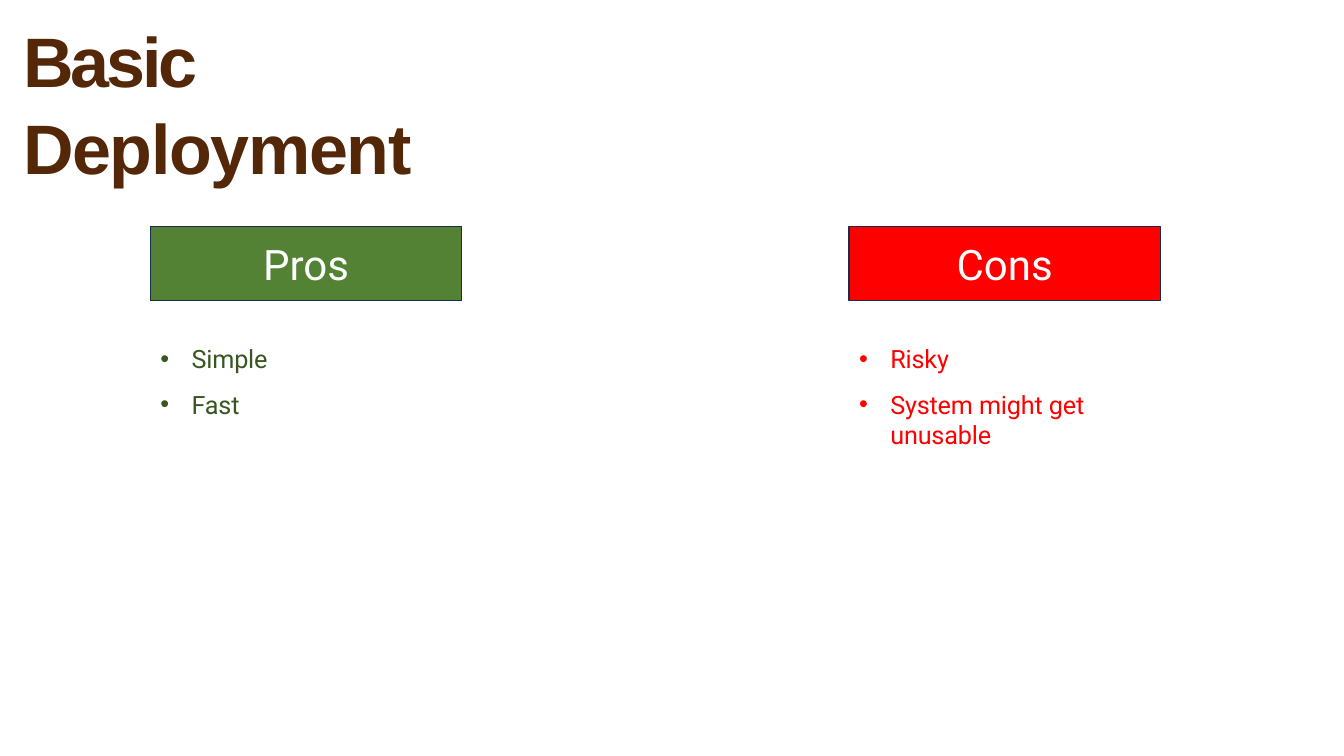
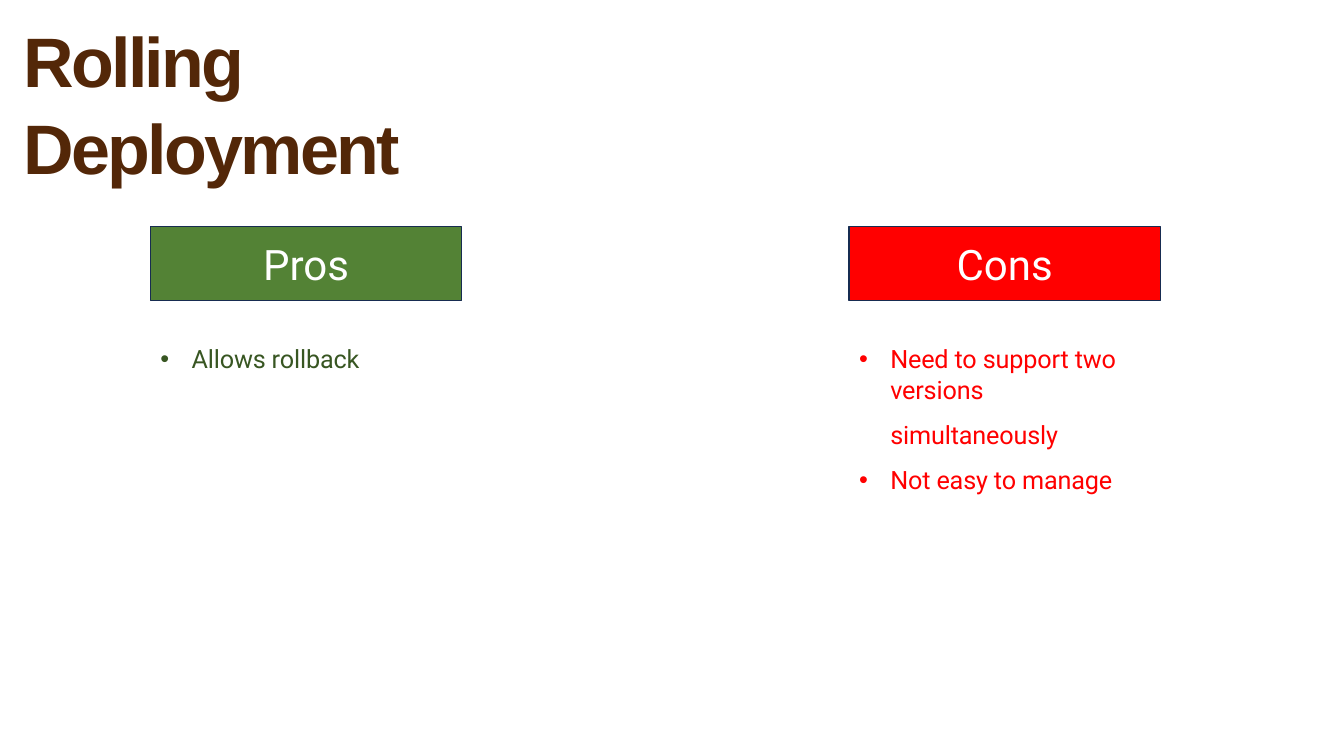
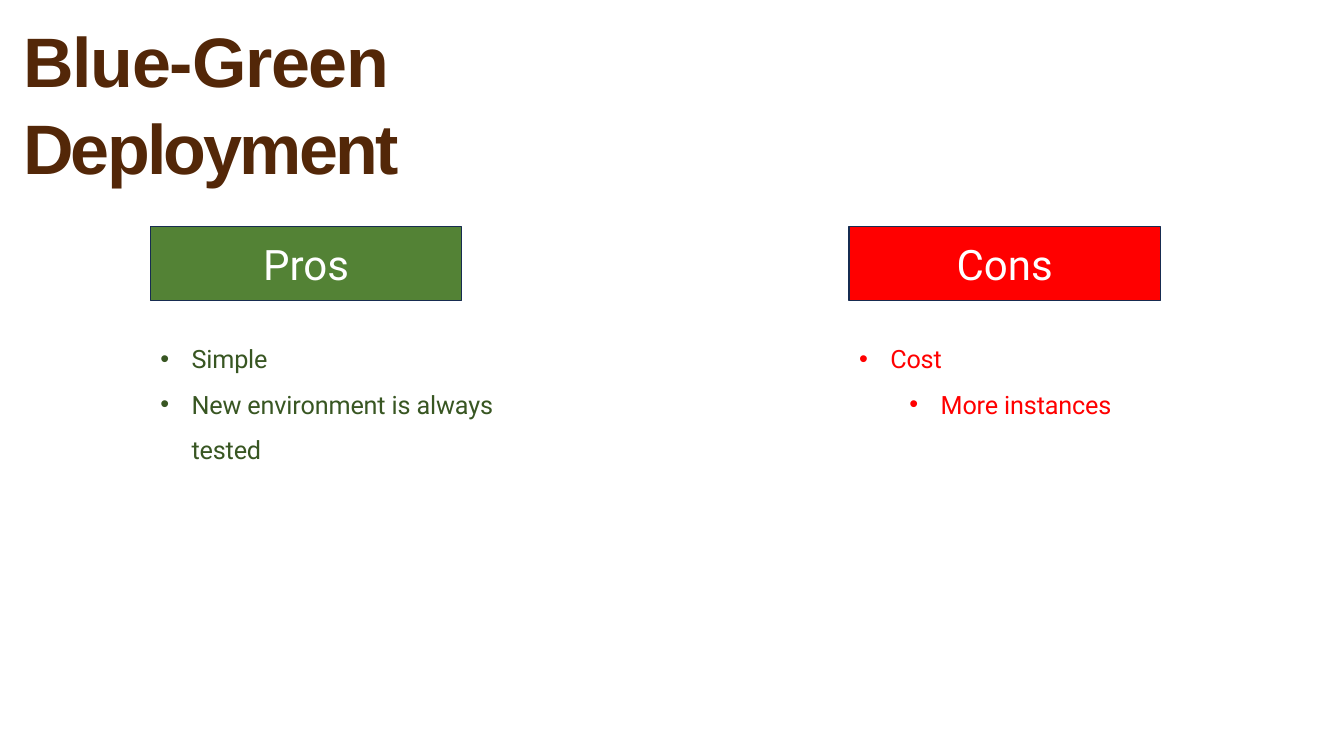
from dataclasses import dataclass

from lxml.etree import SubElement
from pptx import Presentation
from pptx.dml.color import RGBColor
from pptx.enum.shapes import MSO_SHAPE
from pptx.enum.text import MSO_ANCHOR, PP_ALIGN
from pptx.oxml.ns import qn
from pptx.util import Inches, Pt


@dataclass(frozen=True)
class Theme:
    """Colours, fonts and type sizes shared by the slides."""

    title_color: str = "532708"
    outline: str = "172C51"
    header_text: str = "FFFFFF"
    pros_fill: str = "538235"
    pros_text: str = "385622"
    cons_fill: str = "FF0000"
    cons_text: str = "FF0000"
    title_font: str = "Arial"
    body_font: str = "Roboto"
    title_size: int = 50
    header_size: int = 30
    body_size: int = 18


THEME = Theme()
TITLE_BOX = (0.23, 0.14, 5, 1.7)
HEADER_WIDTH, HEADER_HEIGHT = 3.09, 0.73
COLUMN_TOP = 2.25
PROS_BOX = (1.49, COLUMN_TOP, 3.6)
CONS_BOX = (8.42, COLUMN_TOP, 3.09)
BULLET, CONTINUED, NESTED = "bullet", "continued", "nested"

DEPLOYMENTS = [
    (
        [("Basic ", -2.2), ("Deployment", -1)],
        [("Simple", BULLET), ("Fast", BULLET)],
        [("Risky", BULLET), ("System might get unusable", BULLET)],
    ),
    (
        [("Rolling Deployment", -1.9)],
        [("Allows rollback", BULLET)],
        [
            ("Need to support two versions", BULLET),
            ("simultaneously", CONTINUED),
            ("Not easy to manage", BULLET),
        ],
    ),
    (
        [("Blue-Green ", -0.9), ("Deployment", -2)],
        [
            ("Simple", BULLET),
            ("New environment is always", BULLET),
            ("tested", CONTINUED),
        ],
        [("Cost", BULLET), ("More instances", NESTED)],
    ),
]


def format_run(run, font, size, color, bold=False, spacing=0):
    """Set the look and letter spacing (in points) of a run."""
    run.font.name = font
    run.font.size = Pt(size)
    run.font.bold = bold
    run.font.color.rgb = RGBColor.from_string(color)
    if spacing:
        run.font._element.set("spc", str(round(spacing * 100)))


def clear_insets(frame, anchor):
    """Remove the inner margins, wrap the text and anchor it."""
    frame.margin_left = frame.margin_right = 0
    frame.margin_top = frame.margin_bottom = 0
    frame.word_wrap = True
    frame.vertical_anchor = anchor


def place_title(slide, box, parts):
    """Fill the title placeholder with separately spaced words."""
    title = slide.shapes.title
    title.left, title.top, title.width, title.height = map(Inches, box)
    clear_insets(title.text_frame, MSO_ANCHOR.TOP)
    heading = title.text_frame.paragraphs[0]
    heading.alignment = PP_ALIGN.LEFT
    heading.line_spacing = 1.04
    for words, spacing in parts:
        run = heading.add_run()
        run.text = words
        format_run(run, THEME.title_font, THEME.title_size, THEME.title_color, True, spacing)


def place_header(slide, left, top, label, fill):
    """Draw the coloured label at the head of a column."""
    header = slide.shapes.add_shape(
        MSO_SHAPE.RECTANGLE,
        Inches(left), Inches(top), Inches(HEADER_WIDTH), Inches(HEADER_HEIGHT),
    )
    header.shadow.inherit = False
    header.fill.solid()
    header.fill.fore_color.rgb = RGBColor.from_string(fill)
    header.line.color.rgb = RGBColor.from_string(THEME.outline)
    header.line.width = Pt(1)
    clear_insets(header.text_frame, MSO_ANCHOR.MIDDLE)
    header.text_frame.text = label
    caption = header.text_frame.paragraphs[0]
    caption.alignment = PP_ALIGN.CENTER
    format_run(caption.runs[0], THEME.body_font, THEME.header_size, THEME.header_text)


def indent_point(point, role):
    """Give a paragraph its indent and, unless continued, its bullet."""
    properties = point._p.get_or_add_pPr()
    properties.set("marL", str(Inches(0.83 if role == NESTED else 0.33)))
    if role != CONTINUED:
        properties.set("indent", str(Inches(-0.31)))
        SubElement(properties, qn("a:buFont")).set("typeface", THEME.title_font)
        SubElement(properties, qn("a:buChar")).set("char", "•")


def place_points(slide, left, top, width, points, color):
    """List the points of a column."""
    listing = slide.shapes.add_textbox(
        Inches(left), Inches(top), Inches(width), Inches(1.4)
    )
    frame = listing.text_frame
    clear_insets(frame, MSO_ANCHOR.TOP)
    frame.text = "\n".join(words for words, _ in points)
    for point, (_, role) in zip(frame.paragraphs, points):
        point.space_before = Pt(10.8)
        indent_point(point, role)
        format_run(point.runs[0], THEME.body_font, THEME.body_size, color, spacing=-0.1)


def place_column(slide, box, label, points, fill, color):
    """Place a header with its points below it."""
    left, top, width = box
    place_header(slide, left, top, label, fill)
    place_points(slide, left + 0.08, top + 1.16, width - 0.08, points, color)


def add_deployment_slide(deck, title_parts, pros, cons):
    """Add a slide that weighs one deployment strategy."""
    slide = deck.slides.add_slide(deck.slide_layouts[5])
    place_title(slide, TITLE_BOX, title_parts)
    place_column(slide, PROS_BOX, "Pros", pros, THEME.pros_fill, THEME.pros_text)
    place_column(slide, CONS_BOX, "Cons", cons, THEME.cons_fill, THEME.cons_text)


def main():
    """Build and save the deck."""
    deck = Presentation()
    deck.slide_width, deck.slide_height = Inches(13.33), Inches(7.5)
    for deployment in DEPLOYMENTS:
        add_deployment_slide(deck, *deployment)
    deck.save("out.pptx")


if __name__ == "__main__":
    main()
